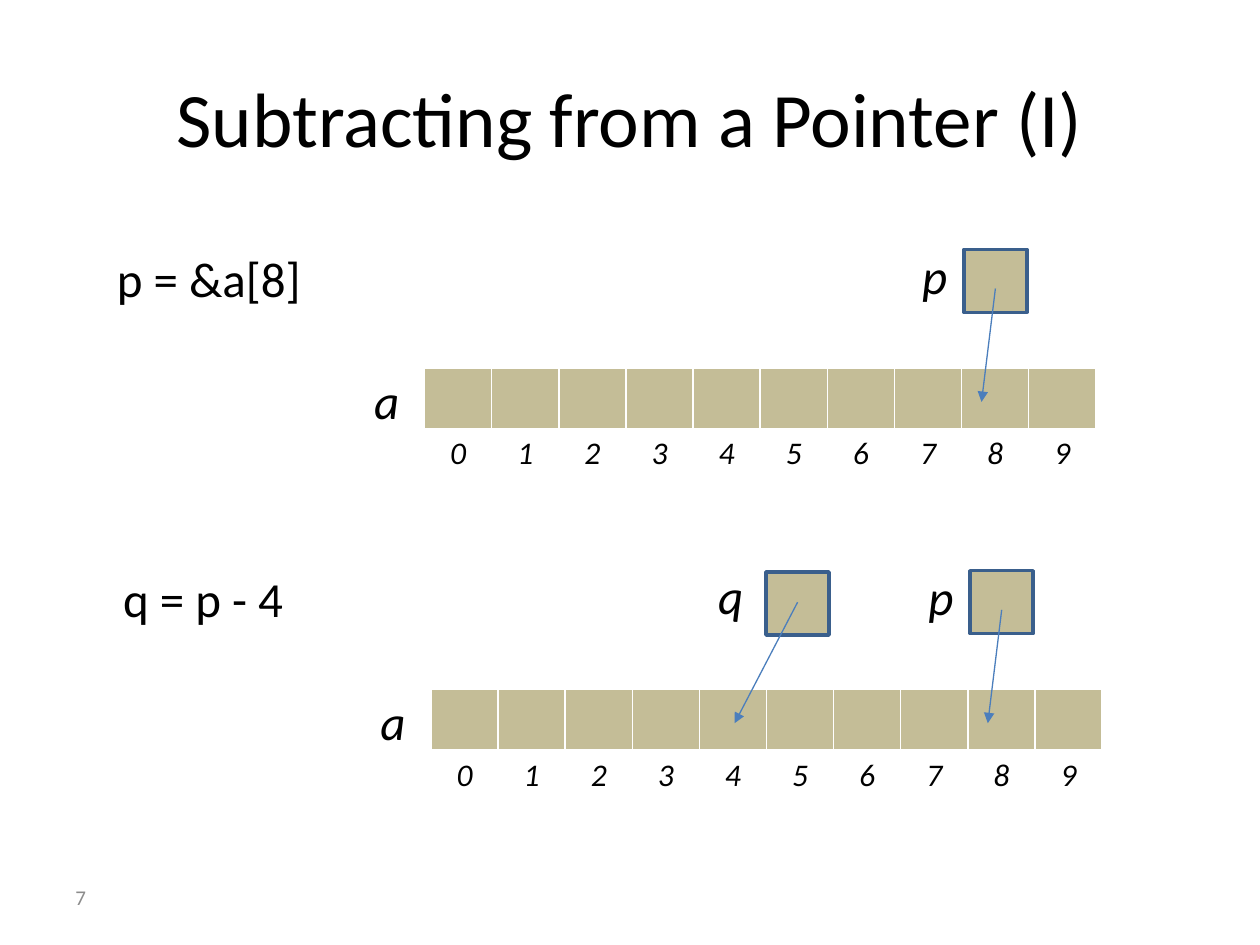
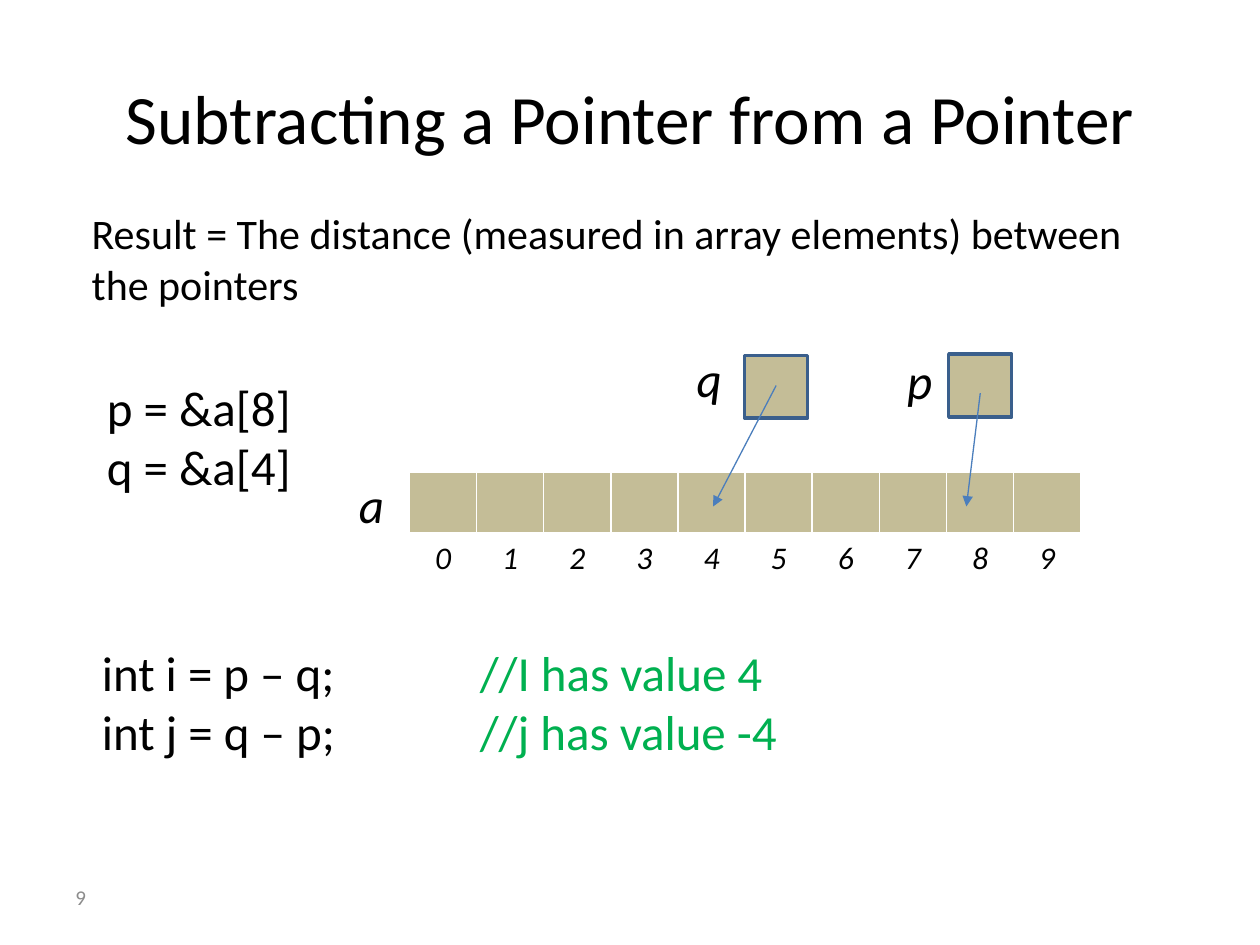
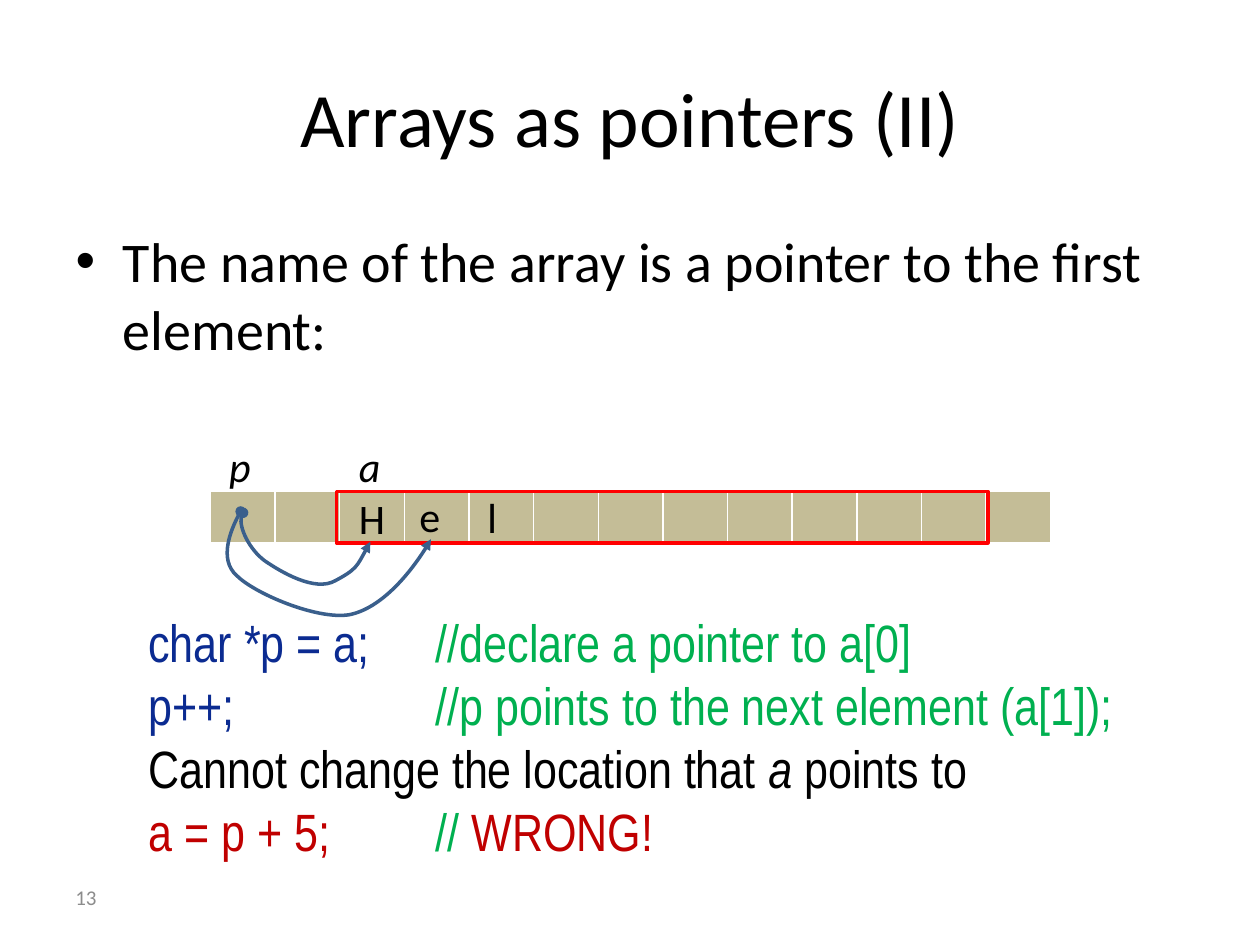
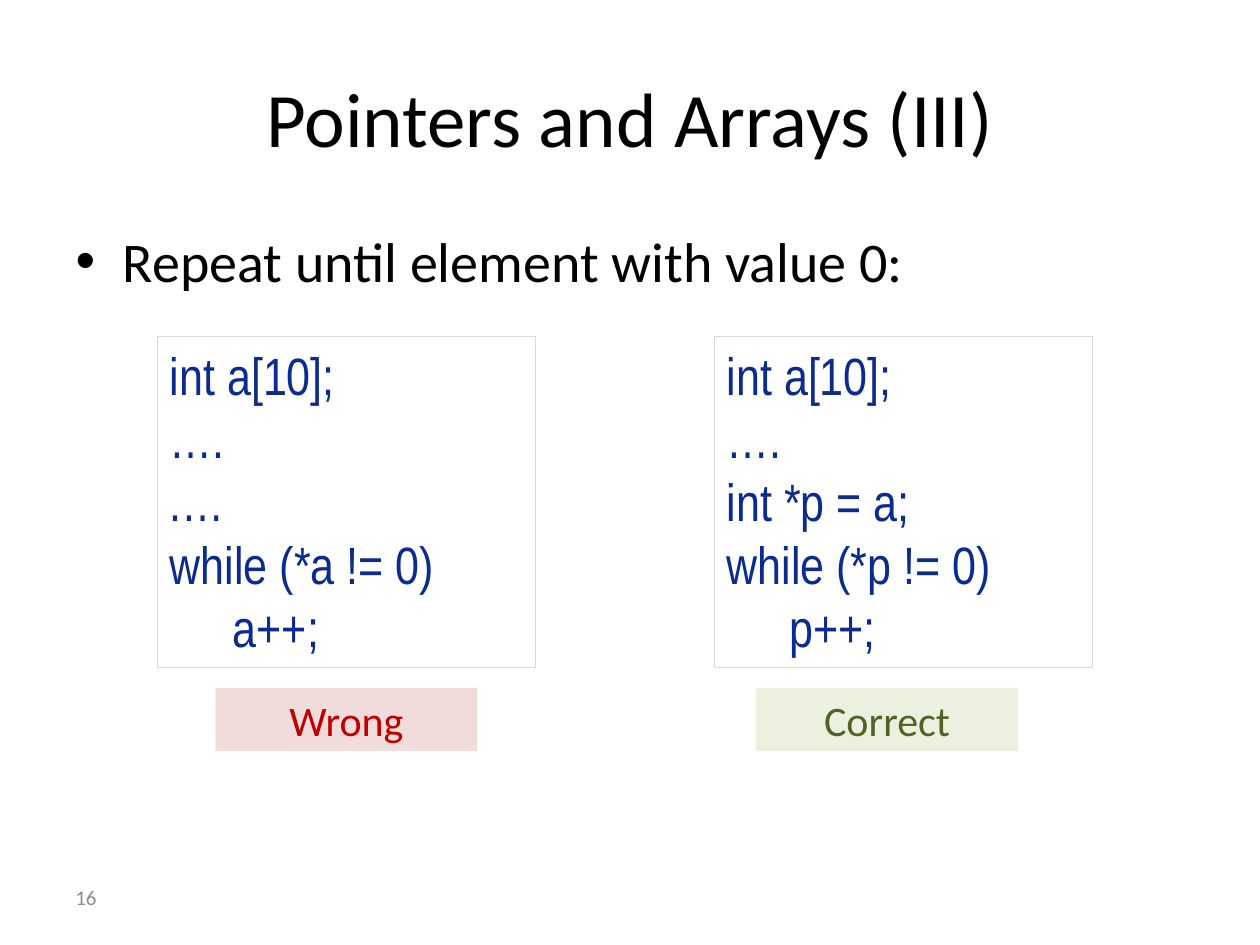
from dataclasses import dataclass

from lxml.etree import SubElement
from pptx import Presentation
from pptx.dml.color import RGBColor
from pptx.enum.shapes import MSO_CONNECTOR, MSO_SHAPE
from pptx.enum.text import MSO_ANCHOR, MSO_AUTO_SIZE, PP_ALIGN
from pptx.oxml.ns import qn
from pptx.util import Inches, Pt


@dataclass(frozen=True)
class Theme:
    font: str = "Calibri"
    code_font: str = "Arial Narrow"
    black: str = "000000"
    gray: str = "8C8C8C"
    white: str = "FFFFFF"
    cell: str = "C4BD97"
    outline: str = "3A5F8C"
    arrow: str = "4B7EBC"
    highlight: str = "FF0000"
    frame: str = "D9D9D9"
    code: str = "0B2B91"
    comment: str = "00B050"
    wrong: str = "C00000"
    wrong_fill: str = "F2DCDB"
    correct: str = "4F6228"
    correct_fill: str = "EBF1DE"
    title_size: float = 44
    long_title_size: float = 39.6
    body_size: float = 32
    code_size: float = 30
    label_size: float = 28
    note_size: float = 24
    index_size: float = 18
    number_size: float = 12


THEME = Theme()
TITLE_ONLY, TITLE_AND_BODY = 5, 1

# Array diagrams: ten cells with their indices, and pointers aimed at cells.
CELL_COUNT, ARRAY_WIDTH, CELL_HEIGHT, INDEX_HEIGHT = 10, 5.33, 0.5, 0.41
INDEX_DROP = 0.48
SQUARE = 0.5
# Offsets from the top left corner of the array.
POINTERS = {
    "p": dict(label=(3.85, -1.02), square=(4.28, -0.94),
              tail=(4.53, -0.63), tip=(4.42, 0.27)),
    "q": dict(label=(2.18, -1.03), square=(2.66, -0.93),
              tail=(2.91, -0.69), tip=(2.41, 0.27)),
}

SUBTRACTION_STEPS = [
    # code, code position, array position, pointers
    ("p = &a[8]", (0.83, 1.92), (3.37, 2.92), "p"),
    ("q = p - 4", (0.88, 4.46), (3.42, 5.47), "pq"),
]

DISTANCE_RULE = ("Result = The distance (measured in array elements) "
                 "between the pointers")
DISTANCE_SETUP = ["p = &a[8]", "q = &a[4]"]
DISTANCE_CODE = [
    [("int i = p – q;\t",), ("//I has value 4", THEME.comment)],
    [("int j = q – p;\t",), ("//j has value -4", THEME.comment)],
]

ARRAY_NAME_RULE = "The name of the array is a pointer to the first element:"
MEMORY_LABELS = [  # text, left, top, width, italic
    ("p", 1.72, 3.45, 0.58, True),
    ("a", 2.75, 3.45, 0.58, True),
    ("H", 2.75, 3.86, 0.41, False),
    ("e", 3.23, 3.84, 0.41, False),
    ("l", 3.77, 3.85, 0.41, False),
]
MEMORY_ARROWS = [  # start, then three Bézier points for each curve
    [(1.93, 4.07), (1.87, 4.14), (1.98, 4.36), (2.1, 4.45),
     (2.23, 4.54), (2.5, 4.7), (2.66, 4.61),
     (2.83, 4.52), (2.84, 4.48), (2.94, 4.3)],
    [(1.91, 4.06), (1.86, 4.14), (1.73, 4.44), (1.88, 4.57),
     (2.02, 4.71), (2.51, 4.92), (2.77, 4.88),
     (3.03, 4.83), (3.32, 4.47), (3.42, 4.28)],
]
MEMORY_CODE = [
    [("char *p = a;\t", THEME.code),
     ("//declare a pointer to a[0]", THEME.comment)],
    [("p++;\t", THEME.code),
     ("//p points to the next element (a[1]);", THEME.comment)],
    [("Cannot change the location that ",), ("a", THEME.black, True),
     (" points to",)],
    [("a = p + 5;\t", THEME.wrong), ("// ", THEME.comment),
     ("WRONG!", THEME.wrong)],
]

LOOP_RULE = "Repeat until element with value 0:"
LOOPS = [
    dict(code=["int a[10];", "….", ".…", "while (*a != 0)", "\ta++;"],
         left=1.25, border=0.75, verdict="Wrong", verdict_left=1.71,
         color=THEME.wrong, fill=THEME.wrong_fill),
    dict(code=["int a[10];", "….", "int *p = a;", "while (*p != 0)", "\tp++;"],
         left=5.67, border=0.5, verdict="Correct", verdict_left=6,
         color=THEME.correct, fill=THEME.correct_fill),
]


def rgb(color):
    return RGBColor.from_string(color)


def set_font(font, size, color=THEME.black, name=THEME.font, italic=False):
    font.size, font.name, font.italic = Pt(size), name, italic
    font.color.rgb = rgb(color)


def write(shape, paragraphs, size, color=THEME.black, name=THEME.font,
          italic=False, align=PP_ALIGN.LEFT, anchor=MSO_ANCHOR.TOP, tab=None):
    """Fill a shape; a paragraph is a string or a list of (text, color, italic)."""
    frame = shape.text_frame
    frame.word_wrap = True
    frame.auto_size = MSO_AUTO_SIZE.SHAPE_TO_FIT_TEXT
    frame.vertical_anchor = anchor
    for number, content in enumerate(paragraphs):
        paragraph = frame.add_paragraph() if number else frame.paragraphs[0]
        paragraph.alignment = align
        if tab:
            stops = SubElement(paragraph._p.get_or_add_pPr(), qn("a:tabLst"))
            SubElement(stops, qn("a:tab"), pos=str(Inches(tab)), algn="l")
        set_font(paragraph.font, size, color, name, italic)
        runs = [(content,)] if isinstance(content, str) else content
        for text, *style in runs:
            run = paragraph.add_run()
            run.text = text
            if style:
                run.font.color.rgb = rgb(style[0])
            if len(style) > 1:
                run.font.italic = style[1]


def add_text(slide, paragraphs, left, top, width, height, size, **style):
    box = slide.shapes.add_textbox(*map(Inches, (left, top, width, height)))
    write(box, paragraphs, size, **style)


def add_rect(slide, left, top, width, height, fill=None, line=None, weight=2):
    rect = slide.shapes.add_shape(
        MSO_SHAPE.RECTANGLE, *map(Inches, (left, top, width, height)))
    rect.shadow.inherit = False
    if fill:
        rect.fill.solid()
        rect.fill.fore_color.rgb = rgb(fill)
    else:
        rect.fill.background()
    if line:
        rect.line.color.rgb = rgb(line)
        rect.line.width = Pt(weight)
    else:
        rect.line.fill.background()
    return rect


def add_row(slide, left, top, width, height, count, fill, labels=()):
    table = slide.shapes.add_table(
        1, count, *map(Inches, (left, top, width, height))).table
    table.horz_banding = False
    table.first_row = not labels
    for column in table.columns:
        column.width = Inches(width / count)
    for cell in table.iter_cells():
        cell.fill.solid()
        cell.fill.fore_color.rgb = rgb(fill)
    for cell, label in zip(table.iter_cells(), labels):
        cell.text = label
        paragraph = cell.text_frame.paragraphs[0]
        paragraph.alignment = PP_ALIGN.CENTER
        set_font(paragraph.font, THEME.index_size, italic=True)


def style_arrow(arrow, color, weight, head=None):
    arrow.line.color.rgb = rgb(color)
    arrow.line.width = Pt(weight)
    properties = arrow._element.spPr
    line = properties.find(qn("a:ln"))
    if head:
        SubElement(line, qn("a:headEnd"), type=head)
    SubElement(line, qn("a:tailEnd"), type="triangle")
    if properties.find(qn("a:effectLst")) is None:
        SubElement(properties, qn("a:effectLst"))


def add_curved_arrow(slide, points):
    start, *rest = [(Inches(x), Inches(y)) for x, y in points]
    builder = slide.shapes.build_freeform(*start)
    builder.add_line_segments(rest, close=False)
    arrow = builder.convert_to_shape()
    arrow.fill.background()
    segments = list(arrow._element.iter(qn("a:lnTo")))
    outline = segments[0].getparent()
    for first in range(0, len(segments), 3):
        curve = SubElement(outline, qn("a:cubicBezTo"))
        for segment in segments[first:first + 3]:
            curve.append(segment[0])
            outline.remove(segment)
    style_arrow(arrow, THEME.outline, 2, head="oval")


def add_array(slide, left, top, pointers):
    """Draw array a with its indices and the named pointers above it."""
    def place(offset):
        return left + offset[0], top + offset[1]

    def add_label(name, offset):
        add_text(slide, [name], *place(offset), 0.75, 0.57,
                 THEME.label_size, italic=True)

    add_row(slide, left, top, ARRAY_WIDTH, CELL_HEIGHT, CELL_COUNT, THEME.cell)
    add_row(slide, left, top + INDEX_DROP, ARRAY_WIDTH, INDEX_HEIGHT,
            CELL_COUNT, THEME.white, [str(i) for i in range(CELL_COUNT)])
    add_label("a", (-0.5, -0.03))
    for name in pointers:
        pointer = POINTERS[name]
        add_rect(slide, *place(pointer["square"]), SQUARE, SQUARE,
                 THEME.cell, THEME.outline)
        add_label(name, pointer["label"])
        ends = (*place(pointer["tail"]), *place(pointer["tip"]))
        arrow = slide.shapes.add_connector(
            MSO_CONNECTOR.STRAIGHT, *map(Inches, ends))
        style_arrow(arrow, THEME.arrow, 0.75)


def add_slide(deck, title, number, body=None, title_size=THEME.title_size):
    layout = TITLE_AND_BODY if body else TITLE_ONLY
    slide = deck.slides.add_slide(deck.slide_layouts[layout])
    parts = [(slide.shapes.title, title, title_size, (0.5, 0.3, 9, 1.25))]
    if body:
        parts.append((slide.placeholders[1], body, THEME.body_size,
                      (0.5, 1.75, 9, 4.95)))
    for holder, text, size, bounds in parts:
        holder.left, holder.top, holder.width, holder.height = map(Inches, bounds)
        holder.text_frame.text = text
        set_font(holder.text_frame.paragraphs[0].font, size)
    add_text(slide, [str(number)], 0.5, 6.92, 2.33, 0.4, THEME.number_size,
             color=THEME.gray, anchor=MSO_ANCHOR.MIDDLE)
    return slide


def add_subtraction_slide(deck):
    slide = add_slide(deck, "Subtracting from a Pointer (I)", 7)
    for code, code_at, array_at, pointers in SUBTRACTION_STEPS:
        add_text(slide, [code], *code_at, 1.8, 0.57, THEME.label_size)
        add_array(slide, *array_at, pointers)


def add_distance_slide(deck):
    slide = add_slide(deck, "Subtracting a Pointer from a Pointer", 9,
                      title_size=THEME.long_title_size)
    add_text(slide, [DISTANCE_RULE], 0.63, 1.6, 8.87, 0.91, THEME.note_size)
    add_text(slide, DISTANCE_SETUP, 0.75, 2.95, 1.8, 1.04, THEME.label_size)
    add_array(slide, 3.25, 3.75, "pq")
    add_text(slide, DISTANCE_CODE, 0.71, 5.05, 5.87, 1.04,
             THEME.label_size, tab=3)


def add_memory_slide(deck):
    slide = add_slide(deck, "Arrays as pointers (II)", 13, ARRAY_NAME_RULE)
    add_row(slide, 1.67, 3.9, 6.67, 0.41, 13, THEME.cell)
    add_rect(slide, 2.67, 3.9, 5.17, 0.41, line=THEME.highlight)
    for text, left, top, width, italic in MEMORY_LABELS:
        add_text(slide, [text], left, top, width, 0.5, THEME.note_size,
                 italic=italic)
    add_text(slide, MEMORY_CODE, 1.08, 4.79, 8.08, 2.12, THEME.code_size,
             name=THEME.code_font, tab=2.28)
    for points in MEMORY_ARROWS:
        add_curved_arrow(slide, points)


def add_loop_slide(deck):
    slide = add_slide(deck, "Pointers and Arrays (III)", 16, LOOP_RULE)
    for loop in LOOPS:
        listing = add_rect(slide, loop["left"], 2.67, 3, 2.63,
                           line=THEME.frame, weight=loop["border"])
        write(listing, loop["code"], THEME.code_size, THEME.code,
              THEME.code_font, tab=0.5)
        verdict = add_rect(slide, loop["verdict_left"], 5.46, 2.08, 0.5,
                           fill=loop["fill"])
        write(verdict, [loop["verdict"]], THEME.note_size, loop["color"],
              align=PP_ALIGN.CENTER)


def main():
    deck = Presentation()
    deck.slide_width, deck.slide_height = Inches(10), Inches(7.5)
    add_subtraction_slide(deck)
    add_distance_slide(deck)
    add_memory_slide(deck)
    add_loop_slide(deck)
    deck.save("out.pptx")


if __name__ == "__main__":
    main()
